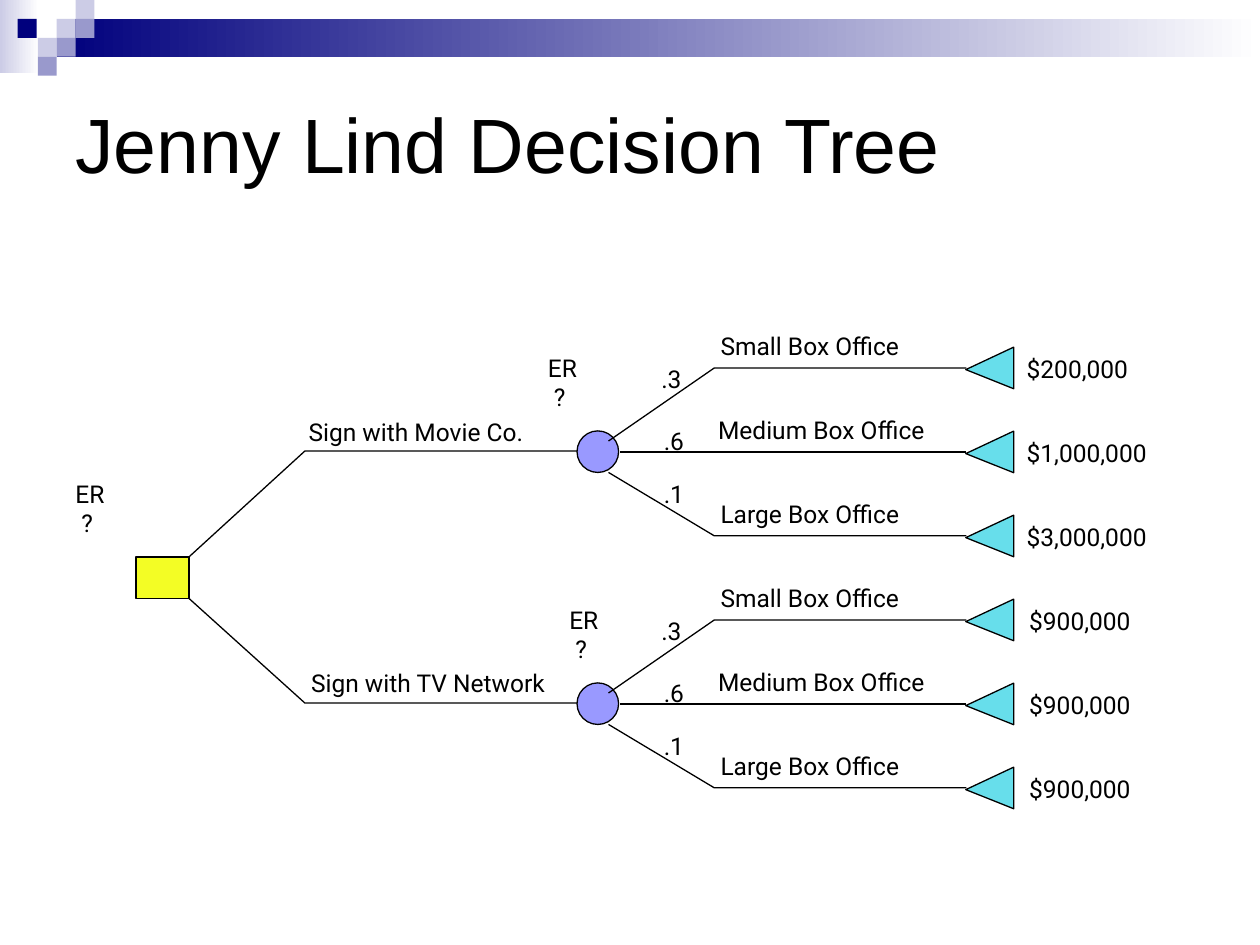
from lxml import etree
from pptx import Presentation
from pptx.dml.color import RGBColor
from pptx.enum.shapes import MSO_CONNECTOR, MSO_SHAPE
from pptx.enum.text import MSO_ANCHOR
from pptx.oxml.ns import qn
from pptx.util import Inches, Pt

RECT = MSO_SHAPE.RECTANGLE
OVAL = MSO_SHAPE.OVAL
WEDGE = MSO_SHAPE.ISOSCELES_TRIANGLE
LINE = MSO_CONNECTOR.STRAIGHT
TOP = MSO_ANCHOR.TOP
MIDDLE = MSO_ANCHOR.MIDDLE

COLORS = {
    "white": "FFFFFF",
    "black": "000000",
    "navy": "00007D",
    "pale": "CCCCE6",
    "mid": "9999CC",
    "yellow": "F3FD25",
    "violet": "9999FF",
    "cyan": "67DEEB",
}
STEP = 2 / 3
ODDS = [(".3", 5.15, -0.08), (".6", 5.17, 0.41), (".1", 5.17, 0.83)]
SALES = [("Small", 5.62, 1.69), ("Medium", 5.6, 1.95), ("Large", 5.62, 1.71)]
ACTS = [
    (2.92, "Sign with Movie Co.", (2.35, 3.26, 1.99), (4.25, 2.75),
     8.05, ["$200,000", "$1,000,000", "$3,000,000"]),
    (4.92, "Sign with TV Network", (2.37, 5.25, 2.15), (4.42, 4.75),
     8.07, ["$900,000"] * 3),
]


def rgb(name):
    return RGBColor.from_string(COLORS[name])


def put_text(frame, text, font="Roboto", size=14, color="black",
             anchor=TOP, wrap=True):
    frame.word_wrap = wrap
    frame.vertical_anchor = anchor
    frame.text = text
    for para in frame.paragraphs:
        for run in para.runs:
            run.font.name = font
            run.font.size = Pt(size)
            run.font.color.rgb = rgb(color)


class Painter:
    def __init__(self, slide, ink="black", width=0.75):
        self.slide = slide
        self.ink = ink
        self.width = width

    def stroke(self, line):
        line.color.rgb = rgb(self.ink)
        line.width = Pt(self.width)

    def shape(self, kind, x, y, w, h, fill, edge=True):
        item = self.slide.shapes.add_shape(
            kind, Inches(x), Inches(y), Inches(w), Inches(h))
        item.shadow.inherit = False
        item.fill.solid()
        item.fill.fore_color.rgb = rgb(fill)
        if edge:
            self.stroke(item.line)
        else:
            item.line.fill.background()
        return item

    def fade(self, x, y, w, h, color):
        fill = self.shape(RECT, x, y, w, h, color, edge=False).fill
        fill.gradient()
        fill.gradient_angle = 180
        for stop, name in zip(fill.gradient_stops, ("white", color)):
            stop.color.rgb = rgb(name)

    def wedge(self, x, y):
        item = self.shape(WEDGE, x, y, 0.33, 0.38, "cyan")
        item.adjustments[0] = 0.46
        item.rotation = 270

    def bend(self, *points):
        spots = [(Inches(x), Inches(y)) for x, y in points]
        pen = self.slide.shapes.build_freeform(*spots[0], scale=1.0)
        pen.add_line_segments(spots[1:], close=False)
        item = pen.convert_to_shape()
        item.shadow.inherit = False
        item.fill.background()
        self.stroke(item.line)

    def line(self, x1, y1, x2, y2):
        item = self.slide.shapes.add_connector(
            LINE, Inches(x1), Inches(y1), Inches(x2), Inches(y2))
        self.stroke(item.line)
        etree.SubElement(item._element.spPr, qn("a:effectLst"))

    def text(self, text, x, y, w, h=0.34, **style):
        box = self.slide.shapes.add_textbox(
            Inches(x), Inches(y), Inches(w), Inches(h))
        put_text(box.text_frame, text, **style)
        return box.text_frame

    def value(self, x, y):
        self.text("ER\n ?", x, y, 0.43, 0.57)


def draw_band(art):
    art.fade(0, 0, 0.31, 0.58, "pale")
    art.fade(0.45, 0.15, 9.55, 0.3, "navy")
    for x, y, color in [
        (0.45, 0.15, "pale"), (0.6, 0, "pale"), (0.6, 0.15, "mid"),
        (0.3, 0.3, "pale"), (0.14, 0.15, "navy"), (0.45, 0.3, "mid"),
        (0.3, 0.45, "mid"),
    ]:
        art.shape(RECT, x, y, 0.15, 0.15, color, edge=False)


def draw_act(art, top, label, spot, mark, pay_x, pays):
    art.shape(OVAL, 4.58, top + 0.5, 0.33, 0.33, "violet")
    low = top + 2 * STEP
    art.bend((4.83, top + 0.58), (5.67, top), (7.67, top))
    art.bend((4.83, top + 0.83), (5.67, low), (7.67, low))
    art.line(7.67, top + STEP, 4.92, top + STEP)
    for row, (sale, odd, pay) in enumerate(zip(SALES, ODDS, pays)):
        y = top + row * STEP
        name, x, w = sale
        art.wedge(7.69, y - 0.19)
        art.text(f"{name} Box Office", x, y - 0.34, w)
        art.text(pay, pay_x, y - 0.16, 1.03 if len(pay) < 9 else 1.19)
        chance, x, drop = odd
        art.text(chance, x, top + drop, 0.36, wrap=False)
    art.text(label, *spot)
    art.value(*mark)


def main():
    deck = Presentation()
    deck.slide_width, deck.slide_height = Inches(10), Inches(7.5)
    art = Painter(deck.slides.add_slide(deck.slide_layouts[6]))
    draw_band(art)
    title = art.text("Jenny Lind Decision Tree", 0.5, 0.83, 9, 1.25,
                     font="Arial", size=44, anchor=MIDDLE)
    title.margin_top, title.margin_bottom = 0, Inches(0.65)
    art.shape(RECT, 1.08, 4.42, 0.42, 0.33, "yellow")
    for act in ACTS:
        draw_act(art, *act)
    art.bend((1.5, 4.42), (2.42, 3.58), (4.58, 3.58))
    art.bend((4.58, 5.58), (2.42, 5.58), (1.5, 4.75))
    art.value(0.5, 3.75)
    deck.save("out.pptx")


if __name__ == "__main__":
    main()
